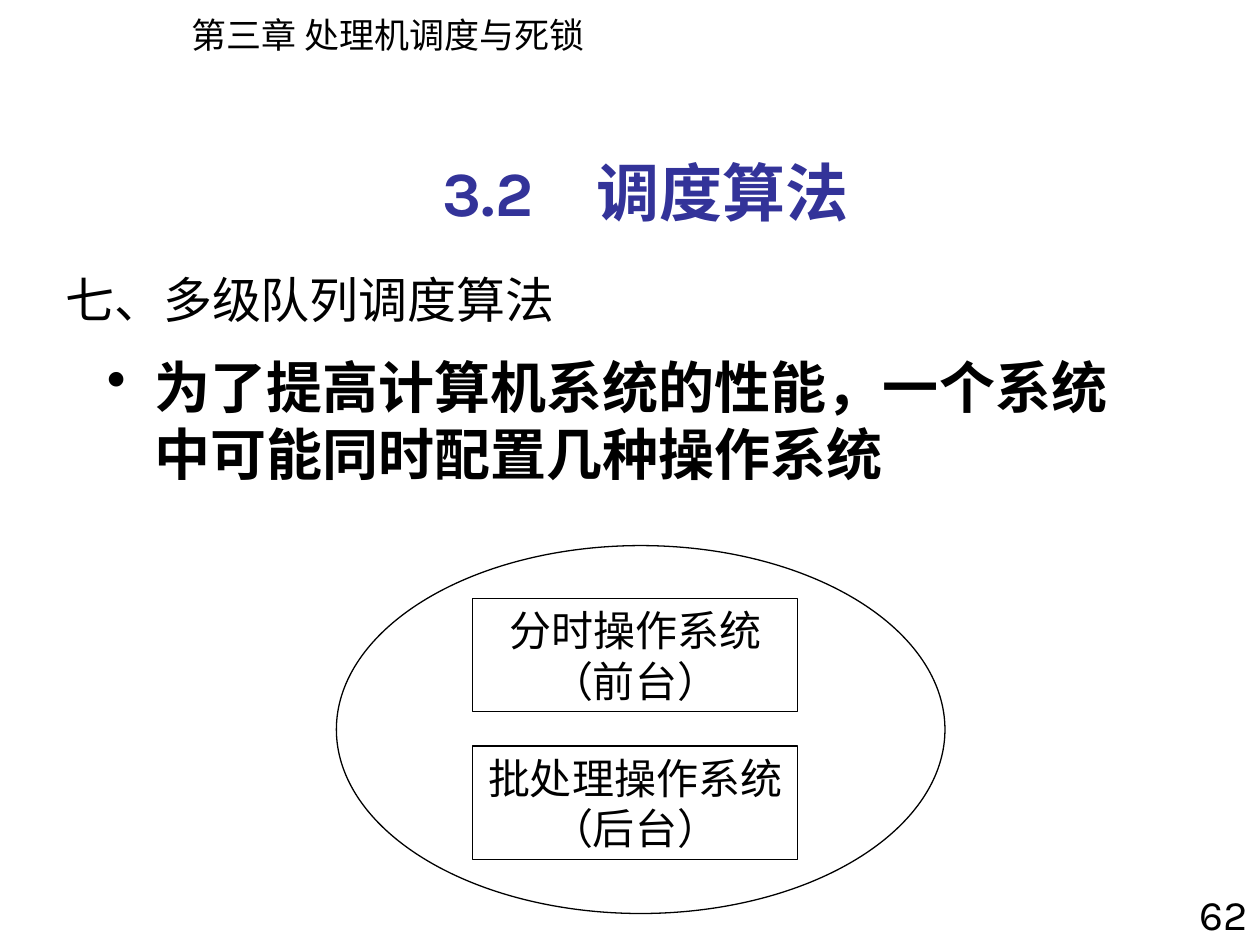
from dataclasses import dataclass

from lxml import etree
from pptx import Presentation
from pptx import util as u
from pptx.dml.color import RGBColor
from pptx.enum import shapes, text
from pptx.oxml.ns import qn


@dataclass(frozen=True)
class Theme:
    """Colours, fonts and type sizes of the slide."""
    ink: RGBColor = RGBColor(0, 0, 0)
    accent: RGBColor = RGBColor(0x33, 0x33, 0x99)
    latin: str = "Karla"
    chinese: str = "Noto Sans CJK SC"
    header_font: str = "Noto Sans CJK JP"
    header: int = 20
    label: int = 24
    heading: int = 28
    body: int = 32
    title: int = 36
    outline: float = 0.75


class SlideBuilder:
    """Draws styled elements on the current slide."""

    def __init__(self, page, theme):
        """Keep the slide and its style."""
        self.page = page
        self.theme = theme

    def set_text(self, shape, lines, size, font, align=text.PP_ALIGN.LEFT, bold=False,
                 color=None, leading=None, bullet=None, wrap=True,
                 anchor=text.MSO_ANCHOR.TOP):
        """Fill a shape with uniformly styled paragraphs."""
        frame = shape.text_frame
        frame.word_wrap = wrap
        frame.vertical_anchor = anchor
        frame.text = "\n".join(lines)
        for para in frame.paragraphs:
            para.alignment = align
            if leading:
                para.line_spacing = u.Pt(leading)
            properties = para._p.get_or_add_pPr()
            if bullet:
                indent = u.Inches(0.38)
                properties.set("marL", str(indent))
                properties.set("indent", str(-indent))
                etree.SubElement(properties, qn("a:buChar")).set("char", bullet)
            para.font.size = u.Pt(size)
            para.font.bold = bold
            para.font.name = font
            para.font.color.rgb = color or self.theme.ink
            defaults = properties.find(qn("a:defRPr"))
            etree.SubElement(defaults, qn("a:ea")).set("typeface", font)

    def text_box(self, left, top, width, height, words, size, font, **style):
        """Add a text box holding one paragraph."""
        box = self.page.shapes.add_textbox(
            u.Inches(left), u.Inches(top), u.Inches(width), u.Inches(height))
        self.set_text(box, [words], size, font, **style)

    def outline(self, kind, left, top, width, height):
        """Add an unfilled shape with a thin outline."""
        shape = self.page.shapes.add_shape(
            kind, u.Inches(left), u.Inches(top), u.Inches(width), u.Inches(height))
        shape.shadow.inherit = False
        shape.fill.background()
        shape.line.color.rgb = self.theme.ink
        shape.line.width = u.Pt(self.theme.outline)
        return shape

    def system_box(self, left, top, width, height, lines):
        """Add a labelled rectangle for an operating system."""
        box = self.outline(shapes.MSO_SHAPE.RECTANGLE, left, top, width, height)
        self.set_text(box, lines, self.theme.label, self.theme.latin,
                      align=text.PP_ALIGN.CENTER)


def main():
    """Build and save the slide."""
    deck = Presentation()
    deck.slide_width, deck.slide_height = u.Inches(10), u.Inches(7.5)
    theme = Theme()
    builder = SlideBuilder(deck.slides.add_slide(deck.slide_layouts[6]), theme)

    builder.text_box(1.42, 0.06, 3.38, 0.44, "第三章 处理机调度与死锁",
                     theme.header, theme.header_font, leading=24, wrap=False)
    builder.text_box(0.42, 2, 9, 0.75, "七、多级队列调度算法", theme.heading,
                     theme.chinese, anchor=text.MSO_ANCHOR.MIDDLE)
    builder.text_box(9.33, 7, 0.67, 0.56, "62", theme.label, theme.latin,
                     align=text.PP_ALIGN.RIGHT)
    builder.text_box(0.75, 2.75, 8.5, 1.96,
                     "为了提高计算机系统的性能，一个系统中可能同时配置几种操作系统",
                     theme.body, theme.chinese, bold=True, bullet="•", leading=38.4)

    builder.outline(shapes.MSO_SHAPE.OVAL, 2.67, 4.33, 4.83, 2.92)
    systems = [("分时操作系统", "（前台）"), ("批处理操作系统", "（后台）")]
    for row, lines in enumerate(systems):
        builder.system_box(3.75, 4.75 + row * 1.17, 2.58, 0.9, lines)

    builder.text_box(0.5, 1.17, 9.25, 0.7, "3.2　调度算法", theme.title, theme.latin,
                     align=text.PP_ALIGN.CENTER, bold=True, color=theme.accent)
    deck.save("out.pptx")


if __name__ == "__main__":
    main()
